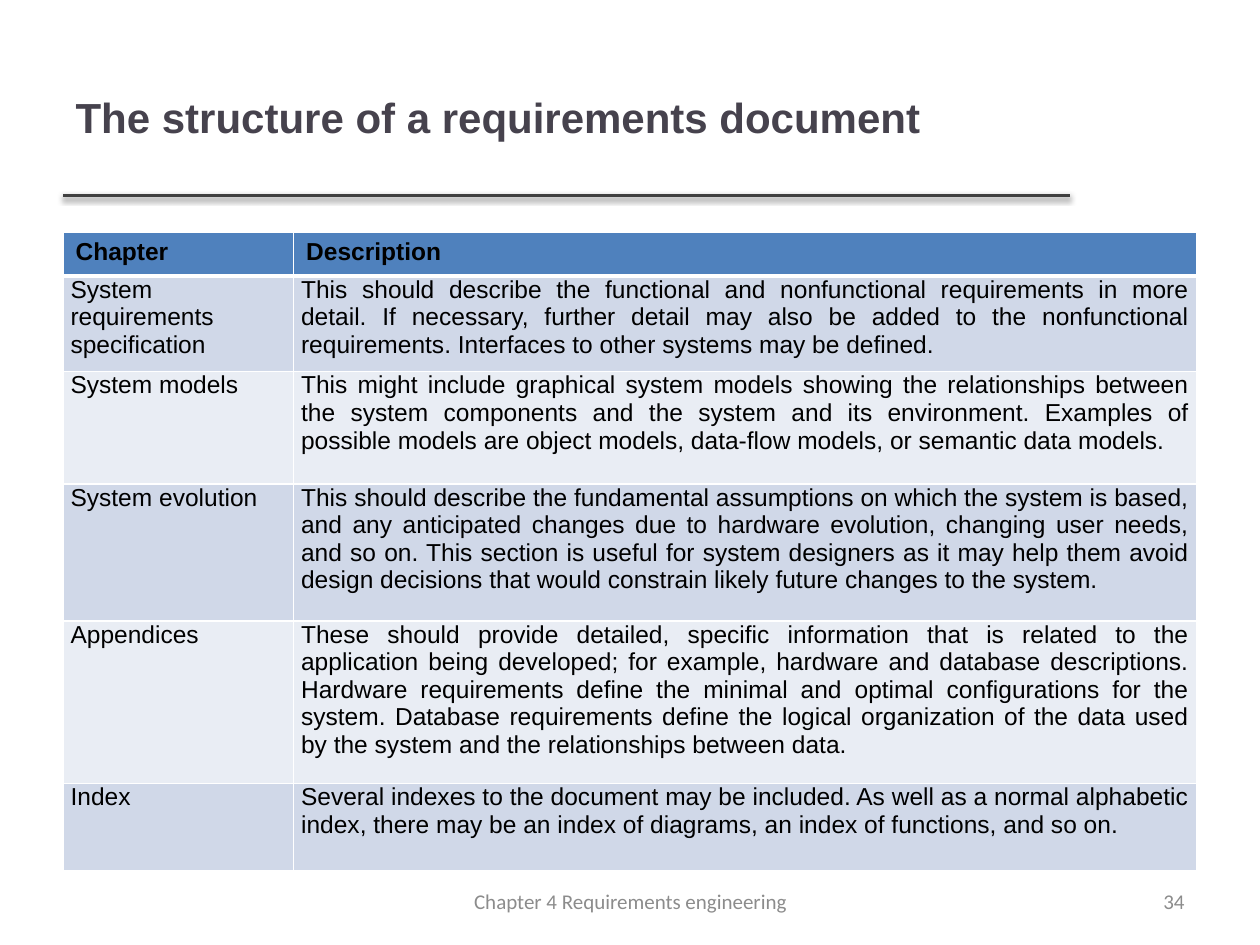
from lxml.etree import SubElement
from pptx import Presentation
from pptx.dml.color import RGBColor
from pptx.enum.shapes import MSO_CONNECTOR
from pptx.enum.text import MSO_ANCHOR, PP_ALIGN
from pptx.oxml.ns import qn
from pptx.util import Inches, Pt

COLORS = {
    "title": "46424D",
    "rule": "404040",
    "shadow": "000000",
    "header": "4F81BD",
    "odd_row": "D0D8E8",
    "even_row": "E9EDF4",
    "border": "FFFFFF",
    "body": "000000",
    "footer": "8C8C8C",
}
COLUMN_WIDTHS = [1.83, 7.17]
ROW_HEIGHTS = [0.35, 0.76, 0.89, 1.09, 1.29, 0.69]
CHAPTERS = [
    ("Chapter", "Description"),
    ("System requirements specification",
     "This should describe the functional and nonfunctional requirements in more "
     "detail. If necessary, further detail may also be added to the nonfunctional "
     "requirements. Interfaces to other systems may be defined."),
    ("System models",
     "This might include graphical system models showing the relationships between "
     "the system components and the system and its environment. Examples of "
     "possible models are object models, data-flow models, or semantic data models."),
    ("System evolution",
     "This should describe the fundamental assumptions on which the system is based, "
     "and any anticipated changes due to hardware evolution, changing user needs, "
     "and so on. This section is useful for system designers as it may help them avoid "
     "design decisions that would constrain likely future changes to the system."),
    ("Appendices",
     "These should provide detailed, specific information that is related to the "
     "application being developed; for example, hardware and database descriptions. "
     "Hardware requirements define the minimal and optimal configurations for the "
     "system. Database requirements define the logical organization of the data used "
     "by the system and the relationships between data."),
    ("Index",
     "Several indexes to the document may be included. As well as a normal alphabetic "
     "index, there may be an index of diagrams, an index of functions, and so on."),
]


def rgb(name):
    """Return the named colour."""
    return RGBColor.from_string(COLORS[name])


def write(frame, text, font, size, color, align, bold=False):
    """Put one formatted paragraph into a text frame."""
    frame.text = text
    paragraph = frame.paragraphs[0]
    paragraph.alignment = align
    paragraph.font.name = font
    paragraph.font.size = Pt(size)
    paragraph.font.bold = bold
    paragraph.font.color.rgb = rgb(color)


def add_title(slide, text):
    """Place and format the title placeholder."""
    title = slide.shapes.title
    title.left, title.top = Inches(0.5), Inches(0.3)
    title.width, title.height = Inches(7.98), Inches(1.25)
    title.text_frame.vertical_anchor = MSO_ANCHOR.MIDDLE
    write(title.text_frame, text, "Arial", 24, "title", PP_ALIGN.LEFT, True)


def add_rule(slide):
    """Draw the line under the title with its soft shadow."""
    rule = slide.shapes.add_connector(
        MSO_CONNECTOR.STRAIGHT, Inches(0.5), Inches(1.55), Inches(8.49), Inches(1.55))
    rule.line.color.rgb = rgb("rule")
    rule.line.width = Pt(2)
    effects = SubElement(rule.line._get_or_add_ln().getparent(), qn("a:effectLst"))
    shadow = SubElement(effects, qn("a:outerShdw"), blurRad=str(Pt(3.1)),
                        dist=str(Pt(1.6)), dir="5400000", rotWithShape="0")
    tint = SubElement(shadow, qn("a:srgbClr"), val=COLORS["shadow"])
    SubElement(tint, qn("a:alpha"), val="38000")


def set_borders(cell, bottom, top):
    """Outline a cell, with its own bottom and top line widths."""
    properties = cell._tc.get_or_add_tcPr()
    for side, width in (("L", 1), ("R", 1), ("T", top), ("B", bottom)):
        line = SubElement(properties, qn(f"a:ln{side}"), w=str(Pt(width)))
        fill = SubElement(line, qn("a:solidFill"))
        SubElement(fill, qn("a:srgbClr"), val=COLORS["border"])


def fill_cell(cell, text, row):
    """Write and style one cell according to its row."""
    is_header = row == 0
    set_borders(cell, bottom=3 if is_header else 1, top=3 if row == 1 else 1)
    cell.fill.solid()
    cell.fill.fore_color.rgb = rgb(
        "header" if is_header else "odd_row" if row % 2 else "even_row")
    if not is_header:
        cell.margin_left = cell.margin_right = Inches(0.06)
        cell.margin_top, cell.margin_bottom = Inches(0), Inches(0.1)
    align = PP_ALIGN.LEFT if is_header else PP_ALIGN.JUSTIFY
    write(cell.text_frame, text, "Arial", 14, "body", align, is_header)


def add_chapter_table(slide):
    """Add the table of chapters and their descriptions."""
    table = slide.shapes.add_table(
        len(CHAPTERS), len(COLUMN_WIDTHS), Inches(0.5), Inches(1.84),
        Inches(sum(COLUMN_WIDTHS)), Inches(sum(ROW_HEIGHTS))).table
    for column, width in zip(table.columns, COLUMN_WIDTHS):
        column.width = Inches(width)
    for row, (chapter, height) in enumerate(zip(CHAPTERS, ROW_HEIGHTS)):
        table.rows[row].height = Inches(height)
        for column, text in enumerate(chapter):
            fill_cell(table.cell(row, column), text, row)


def add_footer(slide, text, left, width, align):
    """Add one text box of the footer line."""
    frame = slide.shapes.add_textbox(
        Inches(left), Inches(6.95), Inches(width), Inches(0.4)).text_frame
    frame.word_wrap = True
    frame.vertical_anchor = MSO_ANCHOR.MIDDLE
    write(frame, text, "Calibri", 12, "footer", align)


def main():
    """Build and save the slide."""
    deck = Presentation()
    deck.slide_width, deck.slide_height = Inches(10), Inches(7.5)
    slide = deck.slides.add_slide(deck.slide_layouts[5])
    add_rule(slide)
    add_title(slide, "The structure of a requirements document")
    add_chapter_table(slide)
    add_footer(slide, "34", 7.17, 2.33, PP_ALIGN.RIGHT)
    add_footer(slide, "Chapter 4 Requirements engineering", 3.42, 3.17, PP_ALIGN.CENTER)
    deck.save("out.pptx")


if __name__ == "__main__":
    main()
